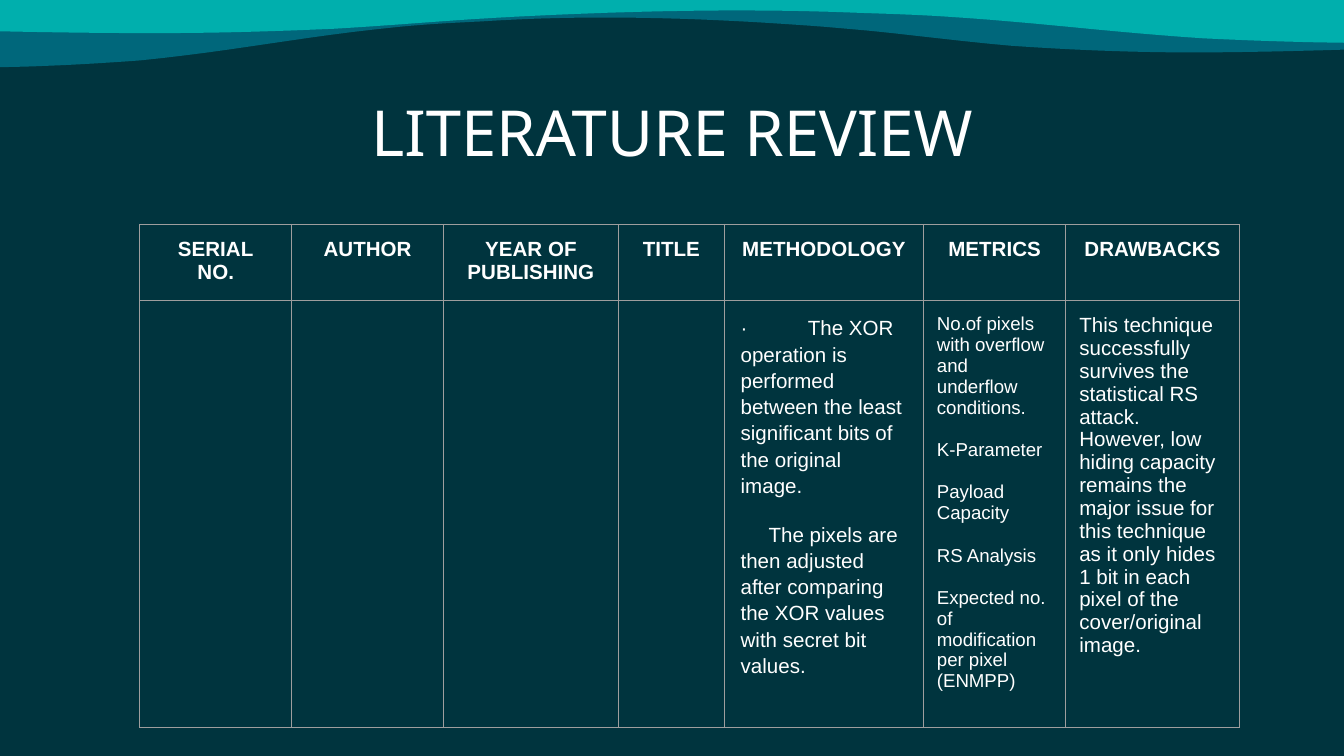
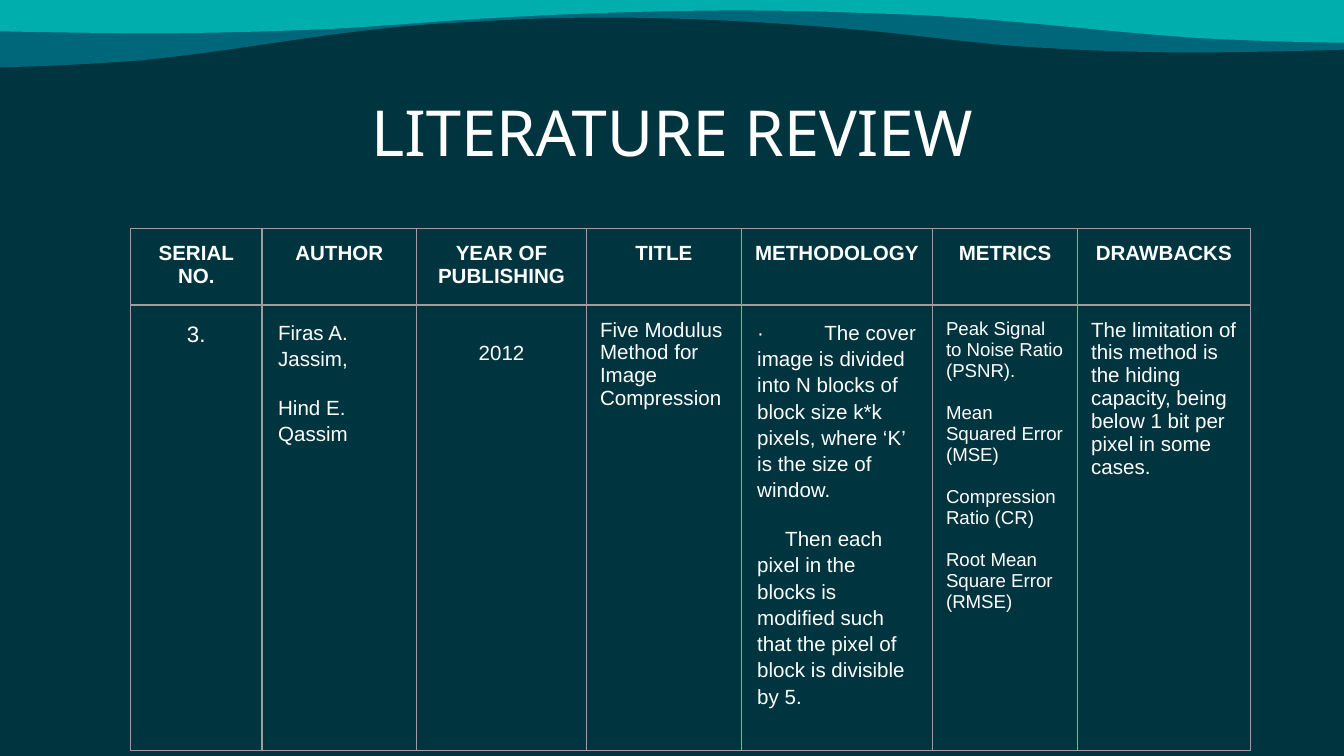
import pptx
import pptx.dml.color
import pptx.enum.text
import pptx.util
from lxml import etree

Pt = pptx.util.Pt
ALIGN = pptx.enum.text.PP_ALIGN
A = "http://schemas.openxmlformats.org/drawingml/2006/main"

COLORS = {
    "background": "00343E",
    "wave_back": "00677B",
    "wave_front": "00AFAD",
    "text": "FFFFFF",
    "border": "9E9E9E",
}
WIDTH, HEIGHT = 720, 405
WAVE_TOP = -1.44
WAVE_START = (0, 36)
WAVE_CURVES = [  # two control points and an end point each
    ((25, 35.6), (50, 34.2), (74.9, 32.4)),
    ((125.3, 27.4), (162.7, 19.4), (213.8, 14.4)),
    ((228.2, 13), (242.6, 12.2), (257.8, 11.5)),
    ((279.4, 10.1), (301, 9.4), (323.3, 9.4)),
    ((365, 9.4), (404, 11.5), (442, 14.4)),
    ((455, 15.5), (468, 16.6), (480.2, 18)),
    ((500, 20.2), (521, 22.7), (541.4, 24.5)),
    ((571.7, 26.6), (604.8, 28.1), (637.9, 28.1)),
    ((665, 28.1), (693, 27.4), (720, 26.6)),
]

HEADERS = ["SERIAL\nNO.", "AUTHOR", "YEAR OF PUBLISHING", "TITLE",
           "METHODOLOGY", "METRICS", "DRAWBACKS"]
HEADER_STYLE = dict(bold=True, align=ALIGN.CENTER)
SPACED = dict(side=8.64, line=1.15, gap=12, after=12)
COLUMN_STYLES = [
    dict(SPACED, size=12, align=ALIGN.CENTER),
    SPACED,
    dict(top=19.85, align=ALIGN.CENTER),
    {},
    dict(SPACED, indent=15),
    dict(size=10, gap=11.5),
    {},
]

REVIEWS = [
    dict(
        left=74.9, top=120.2, height=271.4,
        widths=[81.4, 81.4, 93.6, 56.9, 106.6, 76.3, 92.9],
        entry=[
            [], [], [], [],
            ["·\tThe XOR operation is performed between the least significant "
             "bits of the original image.",
             "The pixels are then adjusted after comparing the XOR values "
             "with secret bit values."],
            ["No.of pixels with overflow and underflow conditions.",
             "K-Parameter", "Payload Capacity", "RS Analysis",
             "Expected no. of modification per pixel\n(ENMPP)"],
            ["This technique successfully survives the statistical RS attack. "
             "However, low hiding capacity remains the major issue for this "
             "technique as it only hides 1 bit in each pixel of the "
             "cover/original image."],
        ]),
    dict(
        left=70, top=122.6, height=278.6,
        widths=[70.4, 82.8, 91.1, 82.8, 102.6, 77.7, 92.4],
        entry=[
            ["3."],
            ["Firas A. Jassim,", "Hind E. Qassim"],
            ["2012"],
            ["Five Modulus Method for Image Compression"],
            ["·\tThe cover image is divided into N blocks of block size k*k "
             "pixels, where ‘K’ is the size of window.",
             "Then each pixel in the blocks is modified such that the pixel "
             "of block is divisible by 5."],
            ["Peak Signal to Noise Ratio (PSNR).", "Mean Squared Error (MSE)",
             "Compression Ratio (CR)", "Root Mean Square Error\n(RMSE)"],
            ["The limitation of this method is the hiding capacity, being "
             "below 1 bit per pixel in some cases."],
        ]),
]


def rgb(name):
    return pptx.dml.color.RGBColor.from_string(COLORS[name])


def sub(parent, tag, **attrs):
    return etree.SubElement(parent, f"{{{A}}}{tag}", attrs)


def wave_points(steps=12):
    """Flatten the wave's Bézier curves into points."""
    points = [WAVE_START]
    for c1, c2, end in WAVE_CURVES:
        start = points[-1]
        for i in range(1, steps + 1):
            t = i / steps
            u = 1 - t
            points.append(tuple(
                u**3 * a + 3 * u * u * t * b + 3 * u * t * t * c + t**3 * d
                for a, b, c, d in zip(start, c1, c2, end)))
    return points


class Deck:
    def __init__(self):
        self.prs = pptx.Presentation()
        self.prs.slide_width = Pt(WIDTH)
        self.prs.slide_height = Pt(HEIGHT)
        self.s = None

    def slide(self, title):
        self.s = self.prs.slides.add_slide(self.prs.slide_layouts[6])
        fill = self.s.background.fill
        fill.solid()
        fill.fore_color.rgb = rgb("background")
        self.wave("wave_back")
        self.wave("wave_front", mirrored=True, scale=0.65)
        self.title(title)

    def wave(self, color, mirrored=False, scale=1):
        edge = [(WIDTH - x if mirrored else x,
                 WAVE_TOP + (y - WAVE_TOP) * scale) for x, y in wave_points()]
        outline = edge + [(edge[-1][0], WAVE_TOP), (edge[0][0], WAVE_TOP)]
        points = [(Pt(x), Pt(y)) for x, y in outline]
        builder = self.s.shapes.build_freeform(*points[0])
        builder.add_line_segments(points[1:], close=True)
        sp = builder.convert_to_shape()
        sp.shadow.inherit = False
        sp.fill.solid()
        sp.fill.fore_color.rgb = rgb(color)
        sp.line.fill.background()

    def font(self, p, name, size, bold=False):
        p.font.name = name
        p.font.size = Pt(size)
        p.font.bold = bold
        p.font.color.rgb = rgb("text")

    def title(self, text):
        sp = self.s.shapes.add_textbox(Pt(56), Pt(42.5), Pt(608), Pt(48))
        tf = sp.text_frame
        tf.word_wrap = True
        tf.margin_left = tf.margin_right = Pt(7.2)
        tf.margin_top = tf.margin_bottom = Pt(7.2)
        p = tf.paragraphs[0]
        p.text = text
        p.alignment = ALIGN.CENTER
        self.font(p, "Noto Sans", 34)

    def table(self, left, top, height, widths, entry):
        frame = self.s.shapes.add_table(
            2, len(widths), Pt(left), Pt(top), Pt(sum(widths)), Pt(60))
        table = frame.table
        table.first_row = table.horz_banding = False
        for row in table.rows:
            row.height = Pt(30.24)
        frame.height = Pt(height)
        for i, width in enumerate(widths):
            table.columns[i].width = Pt(width)
            self.cell(table.cell(0, i), [HEADERS[i]], **HEADER_STYLE)
            self.cell(table.cell(1, i), entry[i], **COLUMN_STYLES[i])

    def cell(self, cell, groups, size=11, bold=False, align=ALIGN.LEFT,
             side=7.2, top=7.2, line=None, gap=0, after=0, indent=0):
        """Fill a cell; groups are set apart by gap, their lines are not."""
        cell.margin_left = cell.margin_right = Pt(side)
        cell.margin_top, cell.margin_bottom = Pt(top), Pt(7.2)
        self.borders(cell)
        cell.fill.background()
        tf = cell.text_frame
        lines = [(text, i == 0) for group in groups
                 for i, text in enumerate(group.split("\n"))]
        for n, (text, starts_group) in enumerate(lines):
            p = tf.add_paragraph() if n else tf.paragraphs[0]
            p.text = text
            p.alignment = align
            if indent:
                self.indent(p, indent, hanging_dot="\t" in text)
            if line:
                p.line_spacing = line
            p.space_before = Pt(gap if n and starts_group else 0)
            p.space_after = Pt(after if n == len(lines) - 1 else 0)
            self.font(p, "Arial", size, bold)

    def indent(self, p, width, hanging_dot):
        """Start the first line's words at width, after a dot if there is one."""
        pPr = p._p.get_or_add_pPr()
        pPr.set("marL", "0")
        pPr.set("indent", "0" if hanging_dot else str(Pt(width)))
        if hanging_dot:
            sub(sub(pPr, "tabLst"), "tab", pos=str(Pt(width)), algn="l")

    def borders(self, cell):
        tcPr = cell._tc.get_or_add_tcPr()
        for side in ("lnL", "lnR", "lnT", "lnB"):
            ln = sub(tcPr, side, w=str(Pt(0.75)))
            sub(sub(ln, "solidFill"), "srgbClr", val=COLORS["border"])


def main():
    deck = Deck()
    for review in REVIEWS:
        deck.slide("LITERATURE REVIEW")
        deck.table(**review)
    deck.prs.save("out.pptx")


if __name__ == "__main__":
    main()
